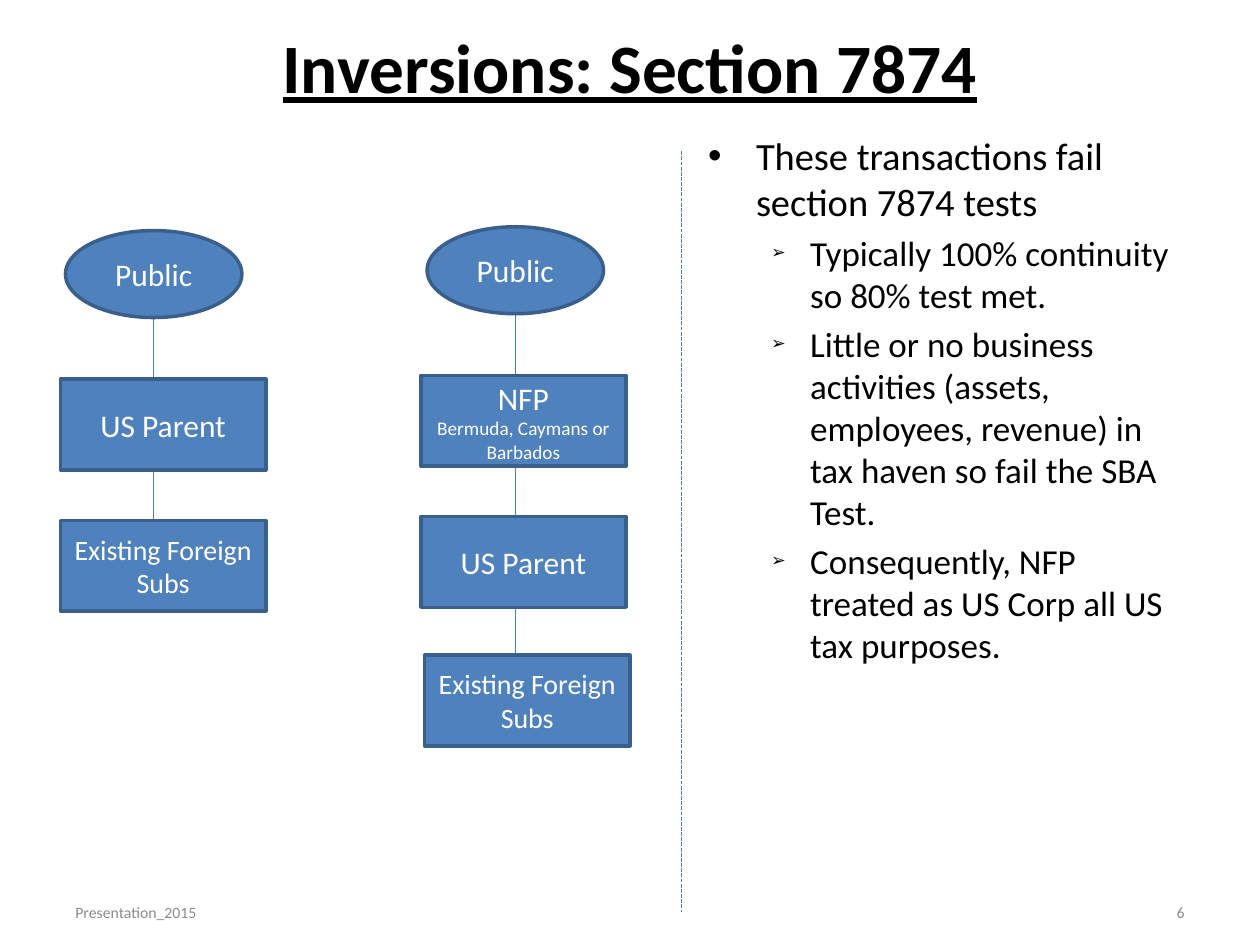
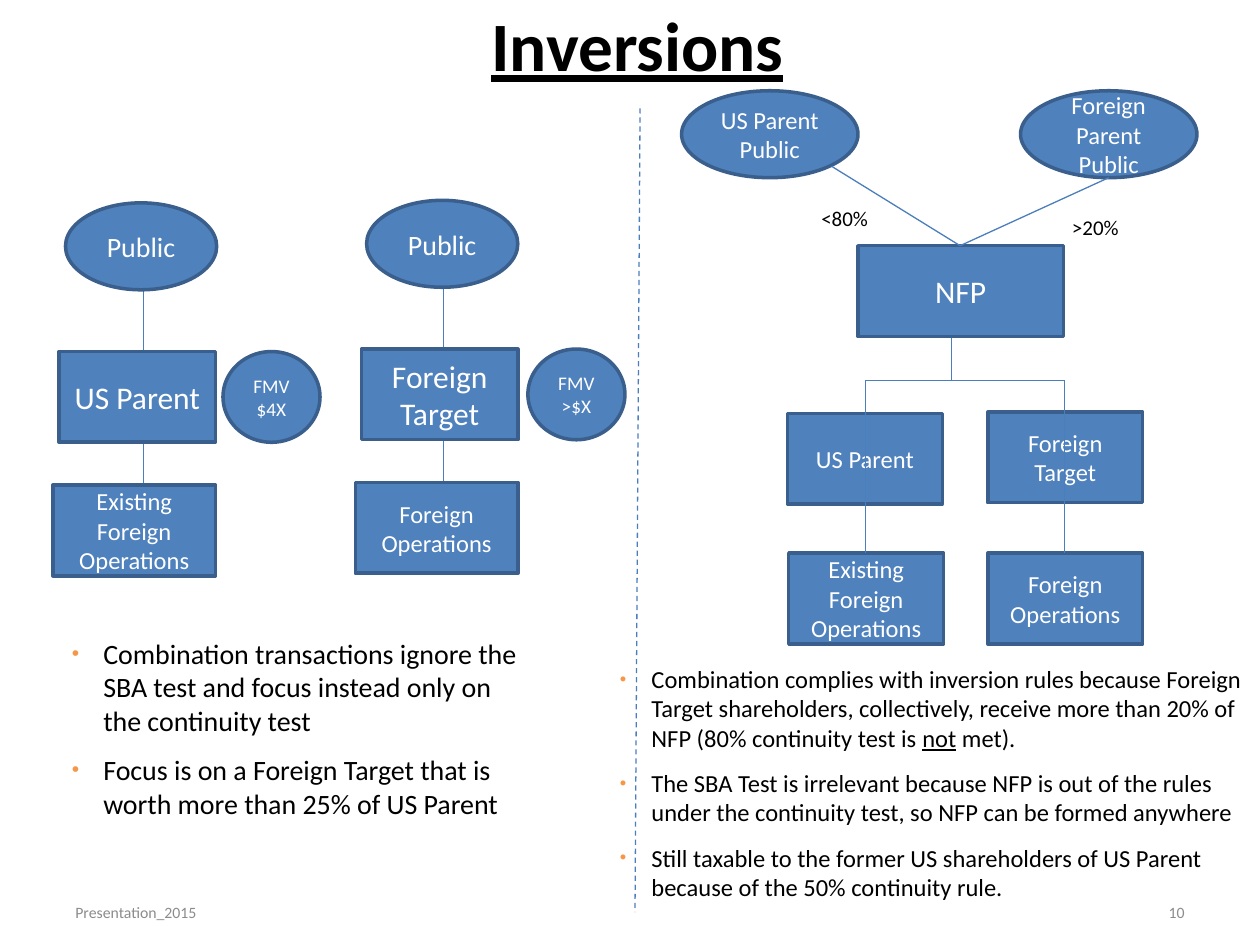
"""Build two slides on corporate inversions with ownership charts and notes."""
from lxml.etree import SubElement
from pptx import Presentation
from pptx.dml.color import RGBColor
from pptx.enum.dml import MSO_LINE
from pptx.enum.shapes import MSO_CONNECTOR, MSO_SHAPE
from pptx.enum.text import MSO_ANCHOR, MSO_AUTO_SIZE, PP_ALIGN
from pptx.oxml.ns import qn
from pptx.util import Inches, Pt

FONT = "Calibri"
BLACK, WHITE, GREY = "000000", "FFFFFF", "8C8C8C"
FILL, OUTLINE, LINK, ORANGE = "4F81BD", "3A5F8C", "4B7EBC", "F79646"
OVAL, RECT = MSO_SHAPE.OVAL, MSO_SHAPE.RECTANGLE
OVAL_HEIGHT, RECT_HEIGHT = 0.69, 0.72
SOLID, DASH, SHORT_DASH = MSO_LINE.SOLID, MSO_LINE.DASH, MSO_LINE.SQUARE_DOT

# level, mark, mark percent, mark colour, left, hanging, size, before, after
MAIN = (0, "•", 100, BLACK, 0.38, 0.38, 22, 4.4, 0)
SUB = (1, "➢", 50, BLACK, 0.81, 0.31, 20, 4, 0)
NOTE_LARGE = (1, "•", 75, ORANGE, 0.3, 0.25, 16, 3, 6)
NOTE_SMALL = (1, "•", 75, ORANGE, 0.3, 0.25, 14, 3, 6)

SLIDES = [
    {
        "layout": 1,
        "title": ("Inversions: Section 7874", 0.5, 0.17),
        "number": "6",
        "lines_behind": [(1.22, 2.53, 1.22, 4.13, SOLID), (4.09, 2.49, 4.09, 5.2, SOLID)],
        "nodes": [
            (OVAL, 0.52, 1.83, 1.4, "Public", [18]),
            (RECT, 0.48, 3.01, 1.63, "US Parent", [18]),
            (RECT, 0.48, 4.13, 1.63, "Existing Foreign Subs", [16]),
            (OVAL, 3.39, 1.8, 1.4, "Public", [18]),
            (RECT, 3.34, 2.98, 1.63, "NFP\nBermuda, Caymans or Barbados", [18, 11]),
            (RECT, 3.34, 4.1, 1.63, "US Parent", [18]),
            (RECT, 3.37, 5.2, 1.63, "Existing Foreign Subs", [16]),
        ],
        "lines_front": [(5.41, 1.2, 5.41, 7.24, SHORT_DASH)],
        "labels": [],
        "lists": [
            ((5.52, 1, 3.93, 6.04), (0.1, 0.05), [
                (MAIN, "These transactions fail section 7874 tests"),
                (SUB, "Typically 100% continuity so 80% test met."),
                (SUB, "Little or no business activities (assets, employees, revenue) "
                      "in tax haven so fail the SBA Test."),
                (SUB, "Consequently, NFP treated as US Corp all US tax purposes."),
            ]),
        ],
    },
    {
        "layout": 3,
        "title": ("Inversions", 0.56, 0),
        "number": "10",
        "lines_behind": [
            (1.14, 2.26, 1.14, 3.86, SOLID),
            (3.52, 2.24, 3.52, 3.85, SOLID),
            (7.55, 2.22, 7.55, 3.02, SOLID),
        ],
        "nodes": [
            (OVAL, 0.52, 1.61, 1.2, "Public", [16]),
            (RECT, 0.47, 2.79, 1.24, "US Parent", [18]),
            (RECT, 0.42, 3.85, 1.29, "Existing Foreign Operations", [14]),
            (OVAL, 1.77, 2.79, 0.77, "FMV\n$4X", [11]),
            (OVAL, 2.91, 1.59, 1.2, "Public", [16]),
            (RECT, 2.87, 2.77, 1.24, "Foreign\nTarget", [18]),
            (RECT, 2.82, 3.83, 1.29, "Foreign Operations", [14]),
            (OVAL, 4.19, 2.77, 0.77, "FMV\n>$X", [11]),
            (OVAL, 5.41, 0.72, 1.4, "US Parent Public", [14]),
            (OVAL, 8.1, 0.72, 1.4, "Foreign Parent Public", [14]),
            (RECT, 6.81, 1.95, 1.63, "NFP", [18]),
            (RECT, 6.25, 3.28, 1.23, "US Parent", [14]),
            (RECT, 7.84, 3.27, 1.23, "Foreign\nTarget", [14]),
            (RECT, 6.26, 4.39, 1.23, "Existing Foreign Operations", [14]),
            (RECT, 7.84, 4.39, 1.23, "Foreign\nOperations", [14]),
        ],
        "lines_front": [
            (6.87, 4.39, 6.87, 3.02, SOLID),
            (6.87, 3.02, 8.45, 3.02, SOLID),
            (8.45, 3.02, 8.45, 4.39, SOLID),
            (7.62, 1.95, 6.6, 1.32, SOLID),
            (7.62, 1.95, 8.8, 1.41, SOLID),
            (5.08, 0.86, 5.04, 7.24, DASH),
        ],
        "labels": [("<80%", 6.42, 1.58), (">20%", 8.41, 1.65)],
        "lists": [
            ((0.52, 5.05, 3.67, 1.84), (0, 0), [
                (NOTE_LARGE, "Combination transactions ignore the SBA test and focus "
                             "instead only on the continuity test"),
                (NOTE_LARGE, "Focus is on a Foreign Target that is worth more than 25% "
                             "of US Parent"),
            ]),
            ((4.87, 5.27, 5.13, 1.84), (0, 0), [
                (NOTE_SMALL, "Combination complies with inversion rules because Foreign "
                             "Target shareholders, collectively, receive more than 20% of "
                             "NFP (80% continuity test is |not| met)."),
                (NOTE_SMALL, "The SBA Test is irrelevant because NFP is out of the rules "
                             "under the continuity test, so NFP can be formed anywhere"),
                (NOTE_SMALL, "Still taxable to the former US shareholders of US Parent "
                             "because of the 50% continuity rule."),
            ]),
        ],
    },
]


def write(shape, text, sizes, colour, align=PP_ALIGN.LEFT, anchor=MSO_ANCHOR.MIDDLE):
    """Fill a shape with one paragraph per line of text."""
    frame = shape.text_frame
    frame.word_wrap = True
    frame.auto_size = MSO_AUTO_SIZE.NONE
    frame.vertical_anchor = anchor
    frame.text = text
    for index, para in enumerate(frame.paragraphs):
        para.alignment = align
        para.font.name = FONT
        para.font.size = Pt(sizes[min(index, len(sizes) - 1)])
        para.font.color.rgb = RGBColor.from_string(colour)
    return frame


def add_lines(page, lines):
    """Draw straight connectors given as start, end and dash style."""
    for x1, y1, x2, y2, dash in lines:
        link = page.shapes.add_connector(
            MSO_CONNECTOR.STRAIGHT, Inches(x1), Inches(y1), Inches(x2), Inches(y2))
        link.line.color.rgb = RGBColor.from_string(LINK)
        link.line.width = Pt(0.75)
        link.line.dash_style = dash
        SubElement(link._element.spPr, qn("a:effectLst"))


deck = Presentation()
deck.slide_width, deck.slide_height = Inches(10), Inches(7.5)

for content in SLIDES:
    page = deck.slides.add_slide(deck.slide_layouts[content["layout"]])

    text, left, top = content["title"]
    title = page.shapes.title
    title.left, title.top, title.width, title.height = map(Inches, (left, top, 9, 0.7))
    heading = write(title, text, [39.6], BLACK, PP_ALIGN.CENTER).paragraphs[0]
    heading.font.bold = heading.font.underline = True

    for text, left, width, align in (
        ("Presentation_2015", 0.5, 3.17, PP_ALIGN.LEFT),
        (content["number"], 7.17, 2.33, PP_ALIGN.RIGHT),
    ):
        footer = page.shapes.add_textbox(Inches(left), Inches(7.04), Inches(width), Inches(0.4))
        write(footer, text, [9], GREY, align)

    add_lines(page, content["lines_behind"])
    for kind, left, top, width, text, sizes in content["nodes"]:
        height = OVAL_HEIGHT if kind == OVAL and width > 1 else RECT_HEIGHT
        node = page.shapes.add_shape(
            kind, Inches(left), Inches(top), Inches(width), Inches(height))
        node.shadow.inherit = False
        node.fill.solid()
        node.fill.fore_color.rgb = RGBColor.from_string(FILL)
        node.line.color.rgb = RGBColor.from_string(OUTLINE)
        node.line.width = Pt(2)
        write(node, text, sizes, WHITE, PP_ALIGN.CENTER)
    add_lines(page, content["lines_front"])

    for text, left, top in content["labels"]:
        label = page.shapes.add_textbox(Inches(left), Inches(top), Inches(0.7), Inches(0.3))
        write(label, text, [12], BLACK, anchor=MSO_ANCHOR.TOP)

    bodies = list(page.placeholders)[1:]
    for body, (bounds, (side, edge), items) in zip(bodies, content["lists"]):
        body.left, body.top, body.width, body.height = map(Inches, bounds)
        frame = body.text_frame
        frame.word_wrap = True
        frame.auto_size = MSO_AUTO_SIZE.NONE
        frame.vertical_anchor = MSO_ANCHOR.TOP
        frame.margin_left = frame.margin_right = Inches(side)
        frame.margin_top = frame.margin_bottom = Inches(edge)
        for index, (style, text) in enumerate(items):
            level, mark, percent, colour, indent, hanging, size, before, after = style
            para = frame.add_paragraph() if index else frame.paragraphs[0]
            para.level = level
            para.alignment = PP_ALIGN.LEFT
            properties = para._p.get_or_add_pPr()
            properties.set("marL", str(Inches(indent)))
            properties.set("indent", str(-Inches(hanging)))
            SubElement(SubElement(properties, qn("a:buClr")), qn("a:srgbClr"), val=colour)
            SubElement(properties, qn("a:buSzPct"), val=str(percent * 1000))
            SubElement(properties, qn("a:buFont"), typeface="Arial")
            SubElement(properties, qn("a:buChar"), char=mark)
            para.space_before = Pt(before if index else 0)
            para.space_after = Pt(after)
            para.font.name = FONT
            para.font.size = Pt(size)
            para.font.color.rgb = RGBColor.from_string(BLACK)
            for position, part in enumerate(text.split("|")):
                span = para.add_run()
                span.text = part
                if position % 2:
                    span.font.underline = True

deck.save("out.pptx")
